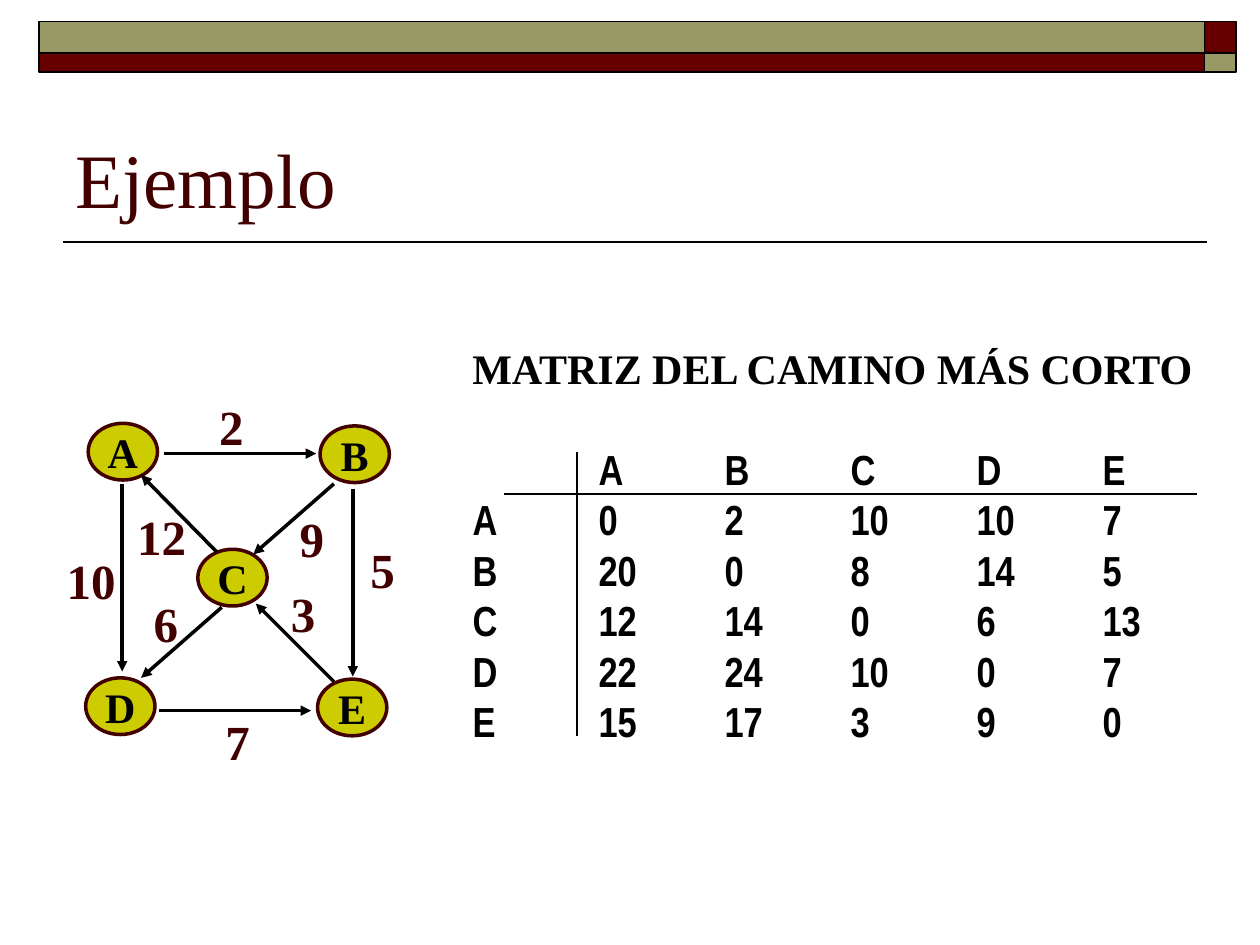
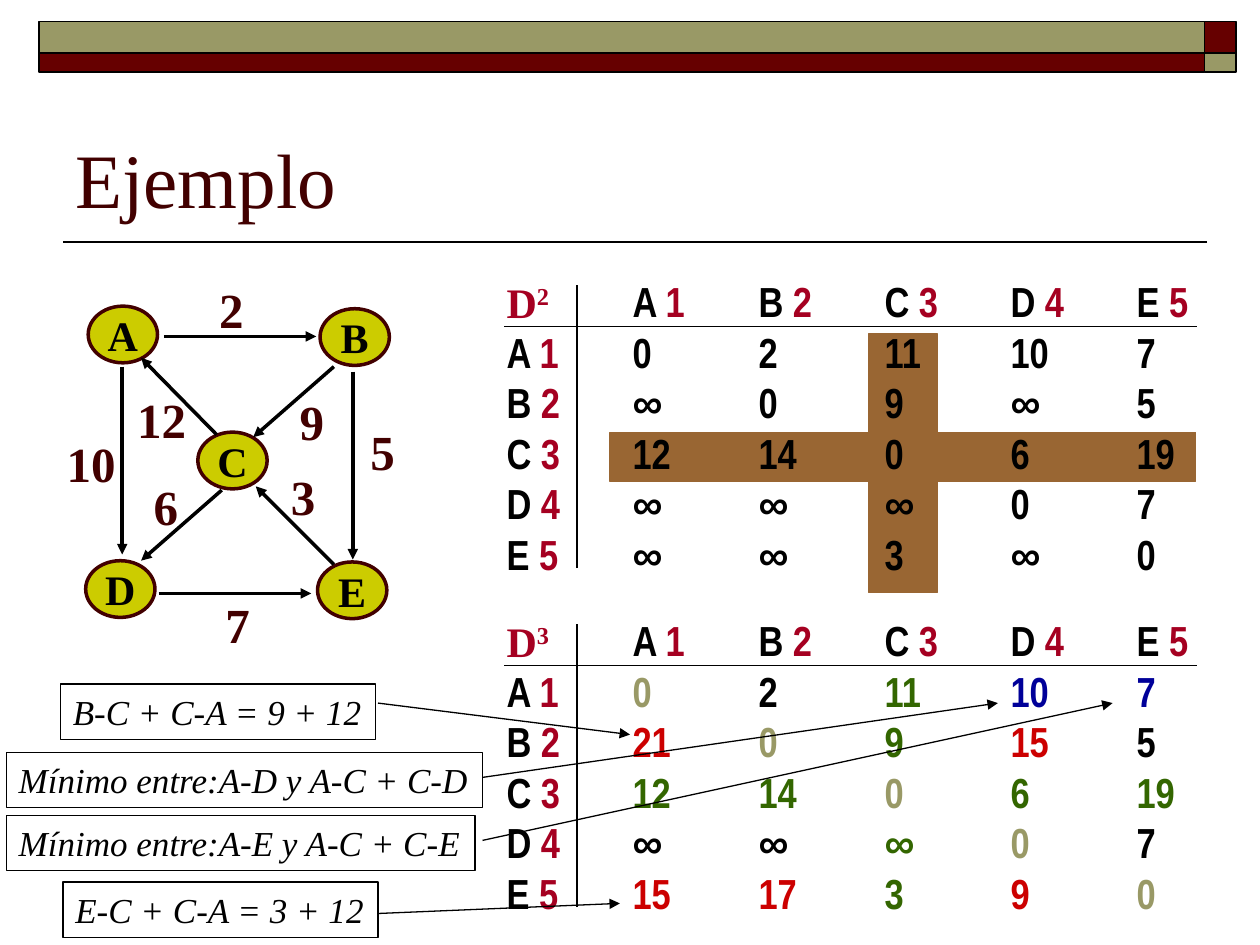
from dataclasses import dataclass
from typing import Any, NamedTuple

from lxml import etree
from pptx import Presentation
from pptx import slide as sl
from pptx import util as u
from pptx.dml import color as dml
from pptx.enum import shapes, text
from pptx.oxml import ns

BLACK, MAROON, OLIVE = "000000", "660000", "999966"
DARK, CRIMSON, GOLD, BROWN = "420000", "A50021", "CCCC00", "996633"
SERIF, NARROW = "Times New Roman", "Arial Narrow"
TINTS = {"k": BLACK, "o": OLIVE, "g": "336600", "b": "000099", "r": "CC0000"}
PLAIN_TABLE = "{2D5ABB26-0587-4C30-8999-92F81FD0307C}"
NODES = "ABCDE"
ROW_HEIGHT, HEADER_DROP = 0.4, 0.05

TITLE_FONT = {"name": SERIF, "size": u.Pt(44)}
HEADING_FONT = {"name": SERIF, "size": u.Pt(24), "bold": True}
WEIGHT_FONT = {"name": SERIF, "size": u.Pt(28), "bold": True}
CELL_FONT = {"name": NARROW, "size": u.Pt(24), "bold": True}
FORMULA_FONT = {"name": SERIF, "size": u.Pt(20), "italic": True}
NO_MARGINS = {f"margin_{side}": 0 for side in ("left", "right", "top", "bottom")}


class Box(NamedTuple):
    left: float
    top: float
    width: float
    height: float


class Segment(NamedTuple):
    x1: float
    y1: float
    x2: float
    y2: float


class Node(NamedTuple):
    letter: str
    x: float
    y: float


class Edge(NamedTuple):
    weight: str
    label_x: float
    label_y: float
    arrow: Segment


class Band(NamedTuple):
    box: Box
    fill: str


class Formula(NamedTuple):
    words: str
    box: Box
    arrow: Segment


@dataclass
class Matrix:
    left: float
    top: float
    values: list[str]
    tints: list[str]
    stage: str = ""


BANDS = [
    Band(Box(9.56, 0.17, 0.25, 0.25), MAROON),
    Band(Box(0.31, 0.17, 9.25, 0.25), OLIVE),
    Band(Box(0.31, 0.42, 9.25, 0.15), MAROON),
    Band(Box(9.56, 0.42, 0.25, 0.15), OLIVE),
]

GRAPH_NODES = [
    Node("A", 0.7, 0.26),
    Node("B", 2.54, 0.28),
    Node("C", 1.57, 1.26),
    Node("D", 0.68, 2.28),
    Node("E", 2.52, 2.29),
]

GRAPH_EDGES = [
    Edge("2", 1.64, 0, Segment(1.3, 0.5, 2.51, 0.5)),
    Edge("7", 1.69, 2.5, Segment(1.26, 2.54, 2.47, 2.54)),
    Edge("5", 2.84, 1.13, Segment(2.8, 0.78, 2.8, 2.27)),
    Edge("10", 0.43, 1.22, Segment(0.97, 0.74, 0.97, 2.23)),
    Edge("6", 1.12, 1.56, Segment(1.76, 1.72, 1.12, 2.28)),
    Edge("9", 2.28, 0.89, Segment(2.65, 0.74, 2.01, 1.3)),
    Edge("12", 0.99, 0.87, Segment(1.72, 1.28, 1.12, 0.67)),
    Edge("3", 2.21, 1.48, Segment(2.65, 2.31, 2.03, 1.69)),
]

SHORTEST = Matrix(
    3.75, 3.56,
    ["0 2 10 10 7", "20 0 8 14 5", "12 14 0 6 13", "22 24 10 0 7", "15 17 3 9 0"],
    ["kkkkk"] * 5,
)
STAGE_2 = Matrix(
    4.02, 2.23,
    ["0 2 11 10 7", "∞ 0 9 ∞ 5", "12 14 0 6 19", "∞ ∞ ∞ 0 7", "∞ ∞ 3 ∞ 0"],
    ["kkkkk"] * 5,
    "2",
)
STAGE_3 = Matrix(
    4.02, 4.92,
    ["0 2 11 10 7", "21 0 9 15 5", "12 14 0 6 19", "∞ ∞ ∞ 0 7", "15 17 3 9 0"],
    ["okgbb", "rogrk", "ggogg", "kkgok", "rrgro"],
    "3",
)

PIVOT_BANDS = [
    Band(Box(4.84, 3.43, 4.65, 0.39), BROWN),
    Band(Box(6.89, 2.65, 0.55, 2.05), BROWN),
]

FORMULAS = [
    Formula("E-C + C-A = 3 + 12", Box(0.5, 7, 2.5, 0.44), Segment(3, 7.25, 4.92, 7.17)),
    Formula("B-C + C-A = 9 + 12", Box(0.48, 5.43, 2.5, 0.44), Segment(3, 5.58, 5, 5.83)),
    Formula("Mínimo entre:A-E y A-C + C-E", Box(0.05, 6.47, 3.72, 0.44),
            Segment(3.83, 6.67, 8.83, 5.58)),
    Formula("Mínimo entre:A-D y A-C + C-D", Box(0.05, 5.97, 3.78, 0.44),
            Segment(3.83, 6.17, 7.92, 5.58)),
]


def rgb(value: str) -> dml.RGBColor:
    return dml.RGBColor.from_string(value)


def inches(lengths: tuple) -> list[u.Length]:
    return [u.Inches(length) for length in lengths]


def apply(target: Any, formats: dict) -> None:
    for attribute, value in formats.items():
        setattr(target, attribute, value)


def add_run(paragraph: Any, words: str, font: dict, color: str) -> Any:
    run = paragraph.add_run()
    run.text = words
    apply(run.font, font)
    run.font.color.rgb = rgb(color)
    return run


def add_label(slide: sl.Slide, words: str, box: Box, font: dict, color: str,
              anchor: Any = text.MSO_ANCHOR.TOP, wrap: bool = False) -> None:
    frame = slide.shapes.add_textbox(*inches(box)).text_frame
    apply(frame, {"word_wrap": wrap, "vertical_anchor": anchor})
    add_run(frame.paragraphs[0], words, font, color)


def add_outline(slide: sl.Slide, kind: Any, box: Box, fill: str | None,
                line: str, width: float) -> Any:
    outline = slide.shapes.add_shape(kind, *inches(box))
    outline.shadow.inherit = False
    if fill:
        outline.fill.solid()
        outline.fill.fore_color.rgb = rgb(fill)
    else:
        outline.fill.background()
    outline.line.color.rgb = rgb(line)
    outline.line.width = u.Pt(width)
    return outline


def add_line(slide: sl.Slide, segment: Segment, width: float, arrow: bool = False) -> None:
    line = slide.shapes.add_connector(shapes.MSO_CONNECTOR.STRAIGHT, *inches(segment))
    line.line.color.rgb = rgb(BLACK)
    line.line.width = u.Pt(width)
    properties = line.element.spPr
    if arrow:
        etree.SubElement(properties.find(ns.qn("a:ln")), ns.qn("a:tailEnd"), type="triangle")
    etree.SubElement(properties, ns.qn("a:effectLst"))


def add_example_slide(deck: Any) -> sl.Slide:
    slide = deck.slides.add_slide(deck.slide_layouts[6])
    add_line(slide, Segment(9.58, 1.92, 0.5, 1.92), 1)
    for band in BANDS:
        add_outline(slide, shapes.MSO_SHAPE.RECTANGLE, band.box, band.fill, BLACK, 1)
    add_label(slide, "Ejemplo", Box(0.5, 0.58, 9, 1.25), TITLE_FONT, DARK,
              text.MSO_ANCHOR.BOTTOM, True)
    return slide


def draw_graph(slide: sl.Slide, top: float) -> None:
    for node in GRAPH_NODES:
        oval = add_outline(slide, shapes.MSO_SHAPE.OVAL,
                           Box(node.x, top + node.y, 0.55, 0.45), GOLD, DARK, 2)
        frame = oval.text_frame
        apply(frame, {"word_wrap": False, "vertical_anchor": text.MSO_ANCHOR.MIDDLE})
        frame.paragraphs[0].alignment = text.PP_ALIGN.CENTER
        add_run(frame.paragraphs[0], node.letter, HEADING_FONT, BLACK)
    for edge in GRAPH_EDGES:
        x1, y1, x2, y2 = edge.arrow
        add_line(slide, Segment(x1, top + y1, x2, top + y2), 2, True)
        width = 0.19 + 0.2 * len(edge.weight)
        add_label(slide, edge.weight, Box(edge.label_x, top + edge.label_y, width, 0.56),
                  WEIGHT_FONT, DARK)


def write_heading(paragraph: Any, position: int, numbered: bool) -> None:
    letter = NODES[position]
    add_run(paragraph, f"{letter} " if numbered else letter, CELL_FONT, BLACK)
    if numbered:
        add_run(paragraph, str(position + 1), CELL_FONT, CRIMSON)


def draw_matrix(slide: sl.Slide, matrix: Matrix) -> None:
    size = len(NODES) + 1
    widths = [1.0] * (size - 1) + [0.5]
    heights = [ROW_HEIGHT + HEADER_DROP] + [ROW_HEIGHT] * (size - 1)
    box = Box(matrix.left, matrix.top, sum(widths), sum(heights))
    frame = slide.shapes.add_table(size, size, *inches(box))
    table = frame.table
    apply(table, {"first_row": False, "horz_banding": False})
    for style in frame.element.iter(ns.qn("a:tableStyleId")):
        style.text = PLAIN_TABLE
    for column, width in zip(table.columns, widths):
        column.width = u.Inches(width)
    for row, height in zip(table.rows, heights):
        row.height = u.Inches(height)
    for cell in table.iter_cells():
        apply(cell, NO_MARGINS)
        cell.fill.background()

    numbered = bool(matrix.stage)
    if numbered:
        corner = table.cell(0, 0).text_frame.paragraphs[0]
        add_run(corner, "D", HEADING_FONT, CRIMSON)
        stage = add_run(corner, matrix.stage, HEADING_FONT, CRIMSON)
        stage._r.get_or_add_rPr().set("baseline", "30000")
    for i, (values, tints) in enumerate(zip(matrix.values, matrix.tints)):
        table.cell(0, i + 1).margin_top = u.Inches(HEADER_DROP)
        for heading in (table.cell(0, i + 1), table.cell(i + 1, 0)):
            write_heading(heading.text_frame.paragraphs[0], i, numbered)
        for j, (value, tint) in enumerate(zip(values.split(), tints)):
            distance = table.cell(i + 1, j + 1).text_frame.paragraphs[0]
            add_run(distance, value, CELL_FONT, TINTS[tint])

    rule_y, rule_top = matrix.top + 0.36, matrix.top + 0.03
    add_line(slide, Segment(4, rule_y, 9.5, rule_y), 0.75)
    add_line(slide, Segment(4.58, rule_top + 2.25, 4.58, rule_top), 0.75)


def draw_formula(slide: sl.Slide, formula: Formula) -> None:
    frame = add_outline(slide, shapes.MSO_SHAPE.RECTANGLE, formula.box, None,
                        BLACK, 0.75).text_frame
    apply(frame, {"word_wrap": False, "vertical_anchor": text.MSO_ANCHOR.TOP})
    frame.paragraphs[0].alignment = text.PP_ALIGN.LEFT
    add_run(frame.paragraphs[0], formula.words, FORMULA_FONT, BLACK)
    add_line(slide, formula.arrow, 0.75, True)


def build_shortest_paths(deck: Any) -> None:
    slide = add_example_slide(deck)
    add_label(slide, "MATRIZ DEL CAMINO MÁS CORTO", Box(3.65, 2.67, 5.98, 0.5),
              HEADING_FONT, BLACK)
    draw_matrix(slide, SHORTEST)
    draw_graph(slide, 3.1)


def build_stages(deck: Any) -> None:
    slide = add_example_slide(deck)
    for band in PIVOT_BANDS:
        add_outline(slide, shapes.MSO_SHAPE.RECTANGLE, band.box, band.fill, band.fill, 0.75)
    for matrix in (STAGE_3, STAGE_2):
        draw_matrix(slide, matrix)
    for formula in FORMULAS:
        draw_formula(slide, formula)
    draw_graph(slide, 2.17)


def main() -> None:
    deck = Presentation()
    apply(deck, {"slide_width": u.Inches(10), "slide_height": u.Inches(7.5)})
    build_shortest_paths(deck)
    build_stages(deck)
    deck.save("out.pptx")


if __name__ == "__main__":
    main()
